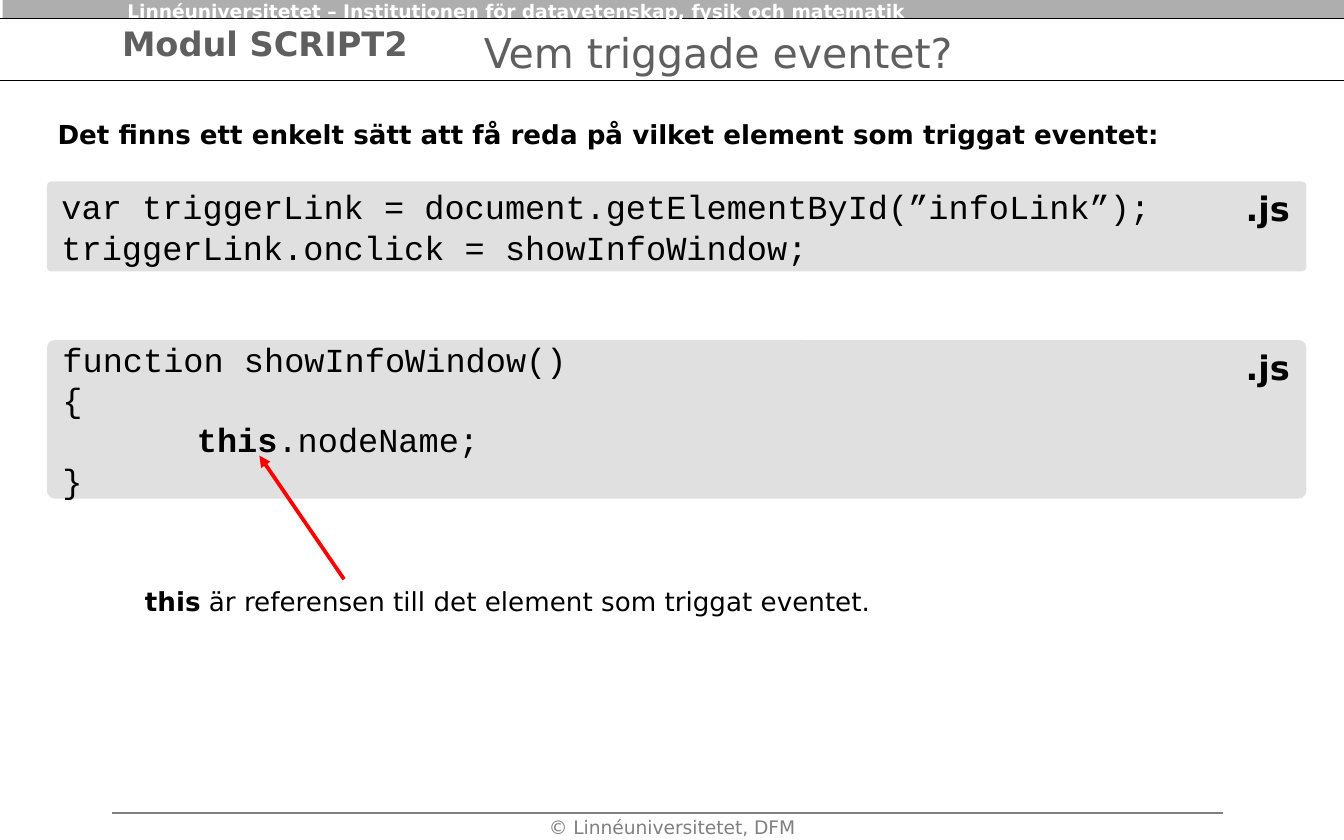
from dataclasses import dataclass
from typing import NamedTuple

from lxml.etree import SubElement
from pptx import Presentation
from pptx.dml.color import RGBColor as Rgb
from pptx.enum.shapes import MSO_CONNECTOR as Conn, MSO_SHAPE as Shape
from pptx.enum.text import MSO_ANCHOR as Anchor, MSO_AUTO_SIZE as Fit, PP_ALIGN as Align
from pptx.oxml.ns import qn
from pptx.util import Inches, Pt


@dataclass(frozen=True)
class Theme:
    """Fonts, colours and type sizes of the slide."""
    sans: str = "DejaVu Sans"
    mono: str = "Courier New"
    black: str = "000000"
    white: str = "FFFFFF"
    dark: str = "5F5F5F"
    gray: str = "808080"
    bar: str = "AFAEAE"
    panel: str = "E0E0E0"
    red: str = "FF0000"
    small: int = 10
    body: int = 14
    code: int = 18
    title: int = 22


class Box(NamedTuple):
    """Left, top, width and height in inches."""
    left: float
    top: float
    width: float
    height: float


class Label(NamedTuple):
    """A text box; text between asterisks is bold."""
    box: Box
    text: str
    size: int
    color: str
    align: Align = Align.LEFT
    wrap: bool = True


class Rule(NamedTuple):
    """A straight line with an optional arrowhead at its end."""
    start: tuple[float, float]
    end: tuple[float, float]
    color: str
    width: float = 0.75
    arrow: bool = False


class Code(NamedTuple):
    """A code panel: top, height and lines."""
    top: float
    height: float
    lines: list[str]


T = Theme()
TAB = Inches(1)

RULES = [
    Rule((0, 0.14), (10, 0.14), T.black),
    Rule((0.83, 6.05), (9.1, 6.05), T.gray),
    Rule((0, 0.6), (10, 0.6), T.black),
]
LABELS = [
    Label(Box(0.85, -0.05, 7.93, 0.27),
          "*Linnéuniversitetet – Institutionen för datavetenskap, fysik och matematik*",
          T.small, T.white),
    Label(Box(0, 6.02, 10, 0.27), "© Linnéuniversitetet, DFM", T.small, T.gray, Align.CENTER),
    Label(Box(0.81, 0.12, 8.02, 0.88), "*Modul SCRIPT2*", T.code, T.dark),
    Label(Box(0.33, 0.83, 9.67, 0.34),
          "*Det finns ett enkelt sätt att få reda på vilket element som triggat eventet:*",
          T.body, T.black),
    Label(Box(0.98, 4.31, 5.66, 0.34),
          "*this* är referensen till det element som triggat eventet.",
          T.body, T.black, wrap=False),
]
CODES = [
    Code(1.35, 0.67, ["var triggerLink = document.getElementById(”infoLink”);",
                      "triggerLink.onclick = showInfoWindow;"]),
    Code(2.53, 1.18, ["function showInfoWindow()", "{", "\t*this*.nodeName;", "}"]),
]
ARROW = Rule((2.56, 4.31), (1.93, 3.39), T.red, 2, True)


def place(box: Box) -> list[int]:
    """Turn a box into lengths."""
    return [Inches(n) for n in box]


def write(para, text: str, font: str, size: int, color: str) -> None:
    """Fill a paragraph, with bold text between asterisks."""
    for i, part in enumerate(text.split("*")):
        if part:
            run = para.add_run()
            run.text = part
            run.font.name = font
            run.font.size = Pt(size)
            run.font.bold = i % 2 == 1
            run.font.color.rgb = Rgb.from_string(color)


def set_tab(para) -> None:
    """Give a paragraph its tab stop."""
    stops = SubElement(para._p.get_or_add_pPr(), qn("a:tabLst"))
    SubElement(stops, qn("a:tab"), pos=str(TAB), algn="l")


def add_label(slide, label: Label) -> None:
    """Add a text box."""
    frame = slide.shapes.add_textbox(*place(label.box)).text_frame
    frame.word_wrap = label.wrap
    para = frame.paragraphs[0]
    para.alignment = label.align
    write(para, label.text, T.sans, label.size, label.color)


def add_panel(slide, kind: Shape, box: Box, color: str):
    """Add a flat filled shape without an outline."""
    panel = slide.shapes.add_shape(kind, *place(box))
    panel.shadow.inherit = False
    panel.fill.solid()
    panel.fill.fore_color.rgb = Rgb.from_string(color)
    panel.line.fill.background()
    return panel


def add_rule(slide, rule: Rule) -> None:
    """Add a line or an arrow."""
    line = slide.shapes.add_connector(
        Conn.STRAIGHT, *[Inches(n) for n in rule.start + rule.end])
    line.line.color.rgb = Rgb.from_string(rule.color)
    line.line.width = Pt(rule.width)
    props = line._element.spPr
    if rule.arrow:
        SubElement(props.find(qn("a:ln")), qn("a:tailEnd"), type="triangle")
    SubElement(props, qn("a:effectLst"))


def add_code(slide, code: Code) -> None:
    """Add a code panel with its file type tag."""
    panel = add_panel(slide, Shape.ROUNDED_RECTANGLE,
                      Box(0.35, code.top, 9.37, code.height), T.panel)
    panel.adjustments[0] = 0.05
    frame = panel.text_frame
    frame.word_wrap = True
    frame.vertical_anchor = Anchor.MIDDLE
    for i, text in enumerate(code.lines):
        para = frame.add_paragraph() if i else frame.paragraphs[0]
        para.alignment = Align.LEFT
        if "\t" in text:
            set_tab(para)
        write(para, text, T.mono, T.code, T.black)
    add_label(slide, Label(Box(9.17, code.top, 0.54, 0.4), "*.js*",
                           T.code, T.black, wrap=False))


def set_title(slide, text: str) -> None:
    """Move and format the title."""
    title = slide.shapes.title
    title.left, title.top, title.width, title.height = place(Box(3.5, 0.14, 6.5, 0.49))
    frame = title.text_frame
    frame.auto_size = Fit.NONE
    frame.vertical_anchor = Anchor.MIDDLE
    para = frame.paragraphs[0]
    para.alignment = Align.LEFT
    write(para, text, T.sans, T.title, T.dark)


def main() -> None:
    """Build and save the slide."""
    deck = Presentation()
    deck.slide_width, deck.slide_height = Inches(10), Inches(6.25)
    slide = deck.slides.add_slide(deck.slide_layouts[5])
    add_panel(slide, Shape.RECTANGLE, Box(0.02, 0, 10, 0.14), T.bar)
    for rule in RULES:
        add_rule(slide, rule)
    set_title(slide, "Vem triggade eventet?")
    for label in LABELS:
        add_label(slide, label)
    for code in CODES:
        add_code(slide, code)
    add_rule(slide, ARROW)
    deck.save("out.pptx")


main()
